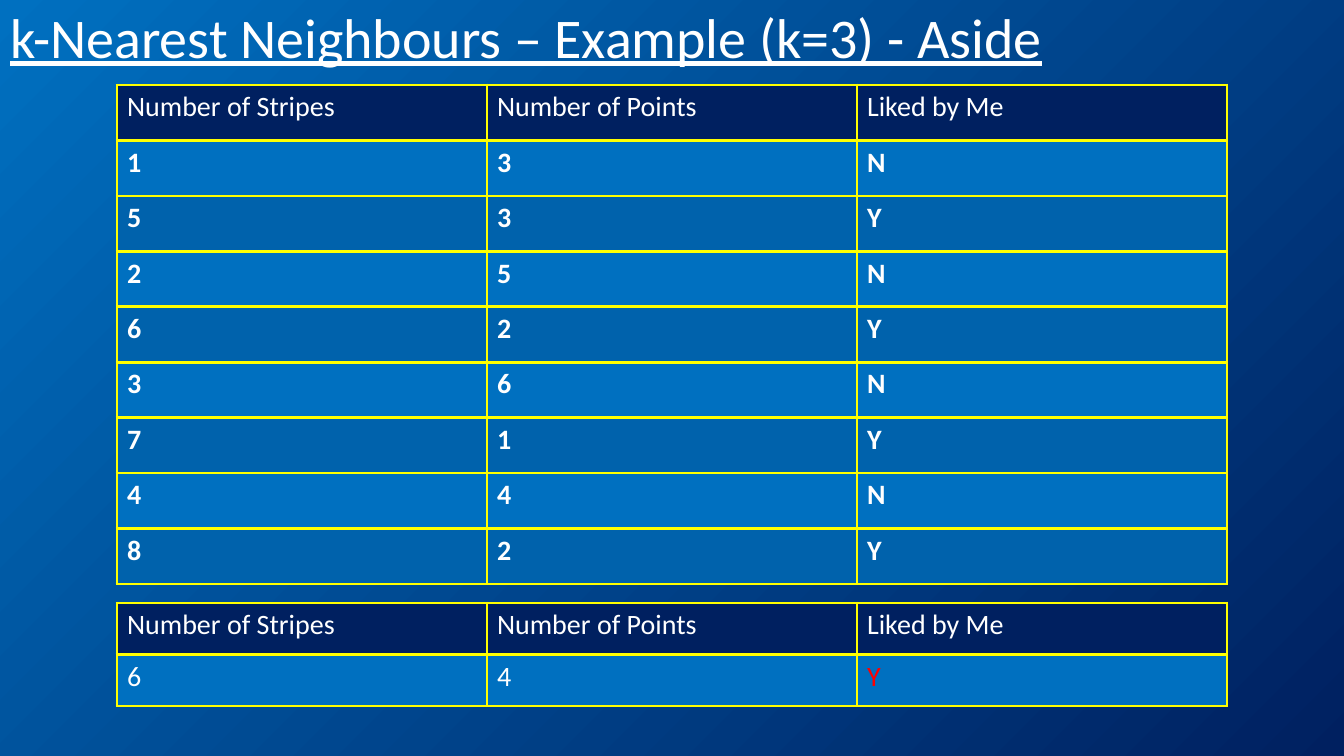
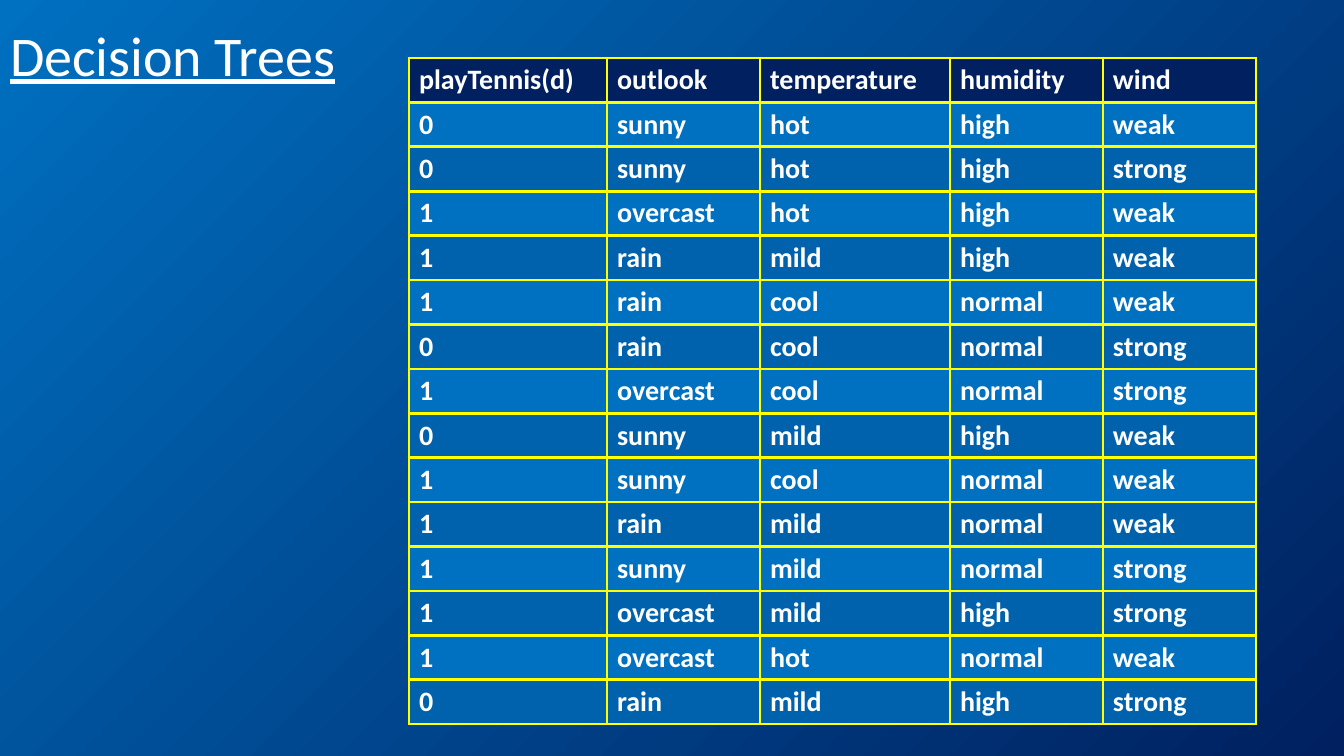
from dataclasses import dataclass

from pptx import Presentation
from pptx.dml.color import RGBColor
from pptx.enum.text import MSO_ANCHOR, MSO_AUTO_SIZE, PP_ALIGN
from pptx.oxml import parse_xml
from pptx.oxml.ns import nsdecls
from pptx.util import Pt


@dataclass(frozen=True)
class Theme:
    font: str = "Calibri"
    white: str = "FFFFFF"
    red: str = "FF0000"
    blue: str = "0070C0"
    band: str = "0062AC"
    navy: str = "002060"
    edge: str = "FFFF00"
    head: int = 40
    text: int = 20
    line: float = 2.25


THEME = Theme()
SCALE = 914400 / 100.8
WIDE, HIGH = 1344, 756

TASTE = """Number of Stripes|Number of Points|Liked by Me
1|3|N
5|3|Y
2|5|N
6|2|Y
3|6|N
7|1|Y
4|4|N
8|2|Y"""

GUESS = """Number of Stripes|Number of Points|Liked by Me
6|4|Y"""

TENNIS = """playTennis(d)|outlook|temperature|humidity|wind
0|sunny|hot|high|weak
0|sunny|hot|high|strong
1|overcast|hot|high|weak
1|rain|mild|high|weak
1|rain|cool|normal|weak
0|rain|cool|normal|strong
1|overcast|cool|normal|strong
0|sunny|mild|high|weak
1|sunny|cool|normal|weak
1|rain|mild|normal|weak
1|sunny|mild|normal|strong
1|overcast|mild|high|strong
1|overcast|hot|normal|weak
0|rain|mild|high|strong"""


def px(size):
    return round(size * SCALE)


def rgb(code):
    return RGBColor.from_string(code)


def add_run(para, text, size, color=THEME.white, bold=False, under=False):
    run = para.add_run()
    run.text = text
    font = run.font
    font.name, font.size = THEME.font, Pt(size)
    font.bold, font.underline = bold, under
    font.color.rgb = rgb(color)


def set_back(master):
    fill = master.background.fill
    fill.gradient()
    fill.gradient_angle = 315
    for stop, color in zip(fill.gradient_stops, (THEME.blue, THEME.navy)):
        stop.color.rgb = rgb(color)


def add_title(slide, box, text):
    title = slide.shapes.title
    title.left, title.top, title.width, title.height = map(px, box)
    frame = title.text_frame
    frame.auto_size = MSO_AUTO_SIZE.NONE
    frame.word_wrap = True
    frame.vertical_anchor = MSO_ANCHOR.MIDDLE
    para = frame.paragraphs[0]
    para.alignment = PP_ALIGN.LEFT
    para.line_spacing = 0.9
    add_run(para, text, THEME.head, under=True)


def add_edges(cell):
    props = cell._tc.get_or_add_tcPr()
    for side in "LRTB":
        props.append(parse_xml(
            f'<a:ln{side} {nsdecls("a")} w="{Pt(THEME.line)}"><a:solidFill>'
            f'<a:srgbClr val="{THEME.edge}"/></a:solidFill></a:ln{side}>'))


def add_grid(slide, box, text, parts, bold_head=False, bold_body=False, marks=()):
    rows = [line.split("|") for line in text.splitlines()]
    table = slide.shapes.add_table(len(rows), len(parts), *map(px, box)).table
    table.horz_banding = False
    for column, part in zip(table.columns, parts):
        column.width = px(box[2] * part / sum(parts))
    for r, row in enumerate(rows):
        shade = THEME.navy if r == 0 else (THEME.band, THEME.blue)[r % 2]
        for c, word in enumerate(row):
            cell = table.cell(r, c)
            add_edges(cell)
            cell.fill.solid()
            cell.fill.fore_color.rgb = rgb(shade)
            color = THEME.red if (r, c) in marks else THEME.white
            bold = bold_body if r else bold_head
            add_run(cell.text_frame.paragraphs[0], word, THEME.text, color, bold)


def add_slide(deck):
    return deck.slides.add_slide(deck.slide_layouts.get_by_name("Title Only"))


def near_slide(deck):
    slide = add_slide(deck)
    add_title(slide, (0, -5, WIDE, 90), "k-Nearest Neighbours – Example (k=3) - Aside")
    left, width, thirds = 117, 1110, (1, 1, 1)
    add_grid(slide, (left, 85, width, 499), TASTE, thirds, bold_body=True)
    add_grid(slide, (left, 603, width, 103), GUESS, thirds, marks={(1, 2)})


def tree_slide(deck):
    slide = add_slide(deck)
    add_title(slide, (0, 1, 1214, 114), "Decision Trees")
    add_grid(slide, (409, 58, 847, 666), TENNIS, (198, 153, 190, 153, 153),
             bold_head=True, bold_body=True)


def main():
    deck = Presentation()
    deck.slide_width, deck.slide_height = px(WIDE), px(HIGH)
    set_back(deck.slide_master)
    near_slide(deck)
    tree_slide(deck)
    deck.save("out.pptx")


if __name__ == "__main__":
    main()
